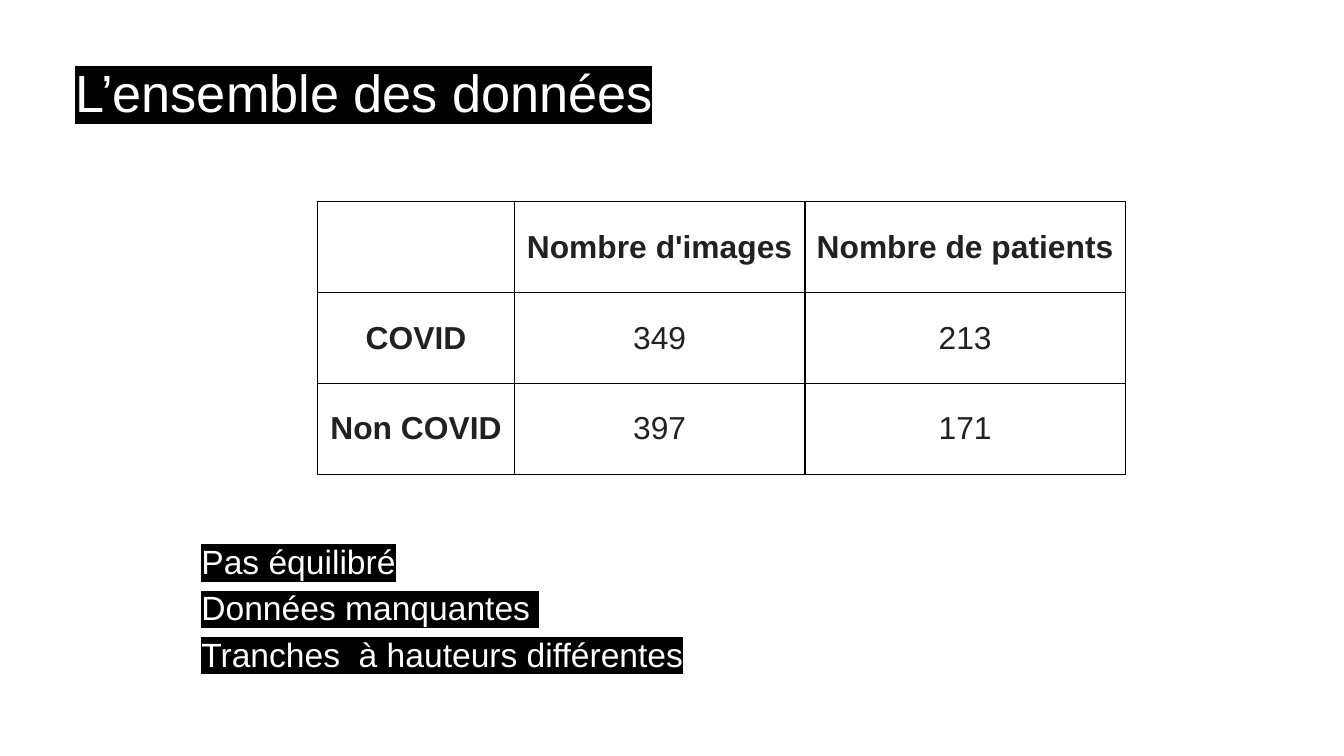
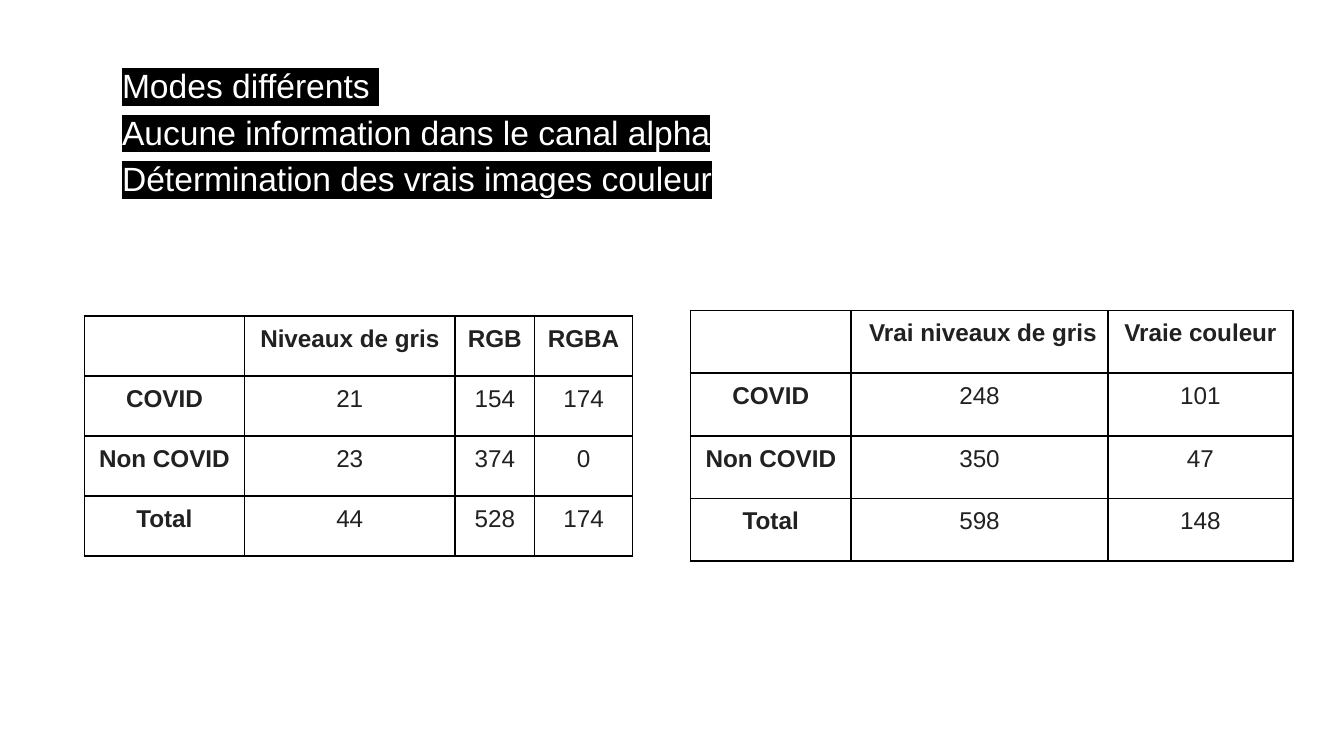
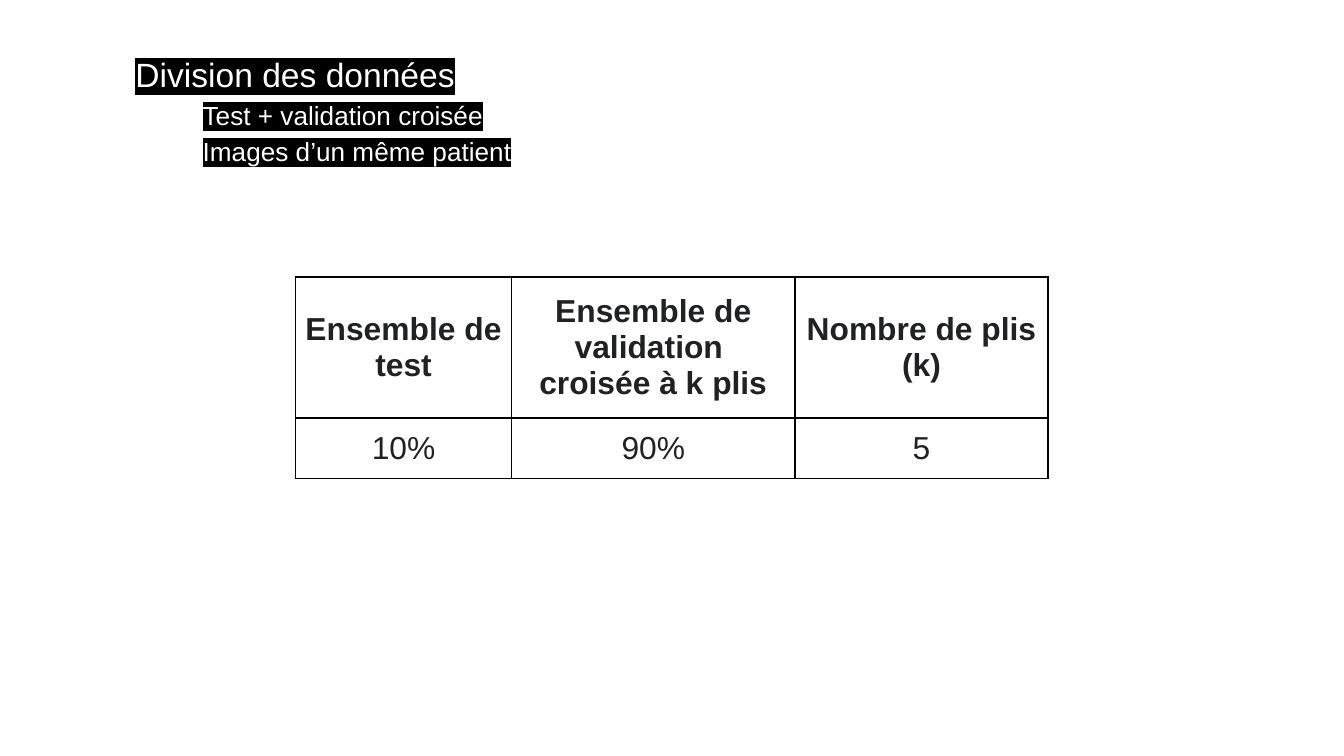
from dataclasses import dataclass

from lxml import etree
from pptx import Presentation
from pptx import util as u
from pptx.dml.color import RGBColor
from pptx.enum import text as t
from pptx.oxml import ns


@dataclass(frozen=True)
class Theme:
    font: str = "Arial"
    light: str = "FFFFFF"
    dark: str = "000000"
    cell: str = "202122"
    title: float = 28
    levels: tuple = (18, 14)
    border: float = 1
    inset: float = 7.2
    cell_inset: float = 5
    spacing: float = 1.15


TH = Theme()
BULLETS = (("●", 36, -27), ("○", 72, -25.2))
TITLE_BAND = 418

SLIDES = [
    {
        "title": ("L’ensemble des données", (33, 25.2, 671, 45.4)),
        "tables": [{
            "at": (170.1, 108), "cols": (105.6, 155.4, 171.9), "rows": (48.7,) * 3,
            "size": 17, "middle": True, "highlight": TH.light,
            "cells": [
                ("", "Nombre d'images", "Nombre de patients"),
                ("COVID", "349", "213"),
                ("Non COVID", "397", "171"),
            ],
        }],
        "body": ((64.8, 279.4, 404.6, 92.2), [
            (0, "Pas équilibré"),
            (0, "Données manquantes "),
            (0, "Tranches  à hauteurs différentes"),
        ]),
    },
    {
        "tables": [{
            "at": (45.2, 169.2), "cols": (85.7, 112.9, 42.6, 52.5), "rows": (32.2,) * 4,
            "size": 13, "middle": False, "highlight": TH.light,
            "cells": [
                ("", "Niveaux de gris", "RGB", "RGBA"),
                ("COVID", "21", "154", "174"),
                ("Non COVID", "23", "374", "0"),
                ("Total", "44", "528", "174"),
            ],
        }, {
            "at": (369.8, 166.3), "cols": (86.2, 137.5, 99.2), "rows": (33.6,) * 4,
            "size": 13, "middle": False, "highlight": TH.light,
            "cells": [
                ("", " Vrai niveaux de gris", "Vraie couleur"),
                ("COVID", "248", "101"),
                ("Non COVID", "350", "47"),
                ("Total", "598", "148"),
            ],
        }],
        "body": ((22.3, 24.5, 373, 94.3), [
            (0, "Modes différents "),
            (0, "Aucune information dans le canal alpha"),
            (0, "Détermination des vrais images couleur"),
        ]),
    },
    {
        "tables": [{
            "at": (158.4, 148.3), "cols": (115.6, 152, 135.4), "rows": (75.6, 32.4),
            "size": 17, "middle": True, "highlight": None,
            "cells": [
                ("Ensemble de test", "Ensemble de validation \ncroisée à k plis",
                 "Nombre de plis (k)"),
                ("10%", "90%", "5"),
            ],
        }],
        "body": ((29.5, 18.7, 293, 85), [
            (0, "Division des données"),
            (1, "Test + validation croisée"),
            (1, "Images d’un même patient"),
        ]),
    },
]


def sub(parent, tag, **attrs):
    return etree.SubElement(parent, ns.qn(tag), {k: str(v) for k, v in attrs.items()})


def write(p, text, *, size, color, bold=False, highlight=None, align=t.PP_ALIGN.LEFT):
    p.alignment = align
    r = p.add_run()
    r.text = text
    f = r.font
    f.name, f.size, f.bold = TH.font, u.Pt(size), bold
    f.color.rgb = RGBColor.from_string(color)
    if highlight:
        fill = r._r.rPr.find(ns.qn("a:solidFill"))
        hl = etree.Element(ns.qn("a:highlight"))
        sub(hl, "a:srgbClr", val=highlight)
        fill.addnext(hl)


def set_frame(tf):
    tf.word_wrap = True
    tf.auto_size = t.MSO_AUTO_SIZE.NONE
    tf.vertical_anchor = t.MSO_ANCHOR.TOP
    tf.margin_left = tf.margin_right = tf.margin_top = tf.margin_bottom = u.Pt(TH.inset)


def add_title(s, text, box):
    sp = s.shapes.title
    sp.left, sp.top, sp.width, sp.height = map(u.Pt, box)
    set_frame(sp.text_frame)
    p = sp.text_frame.paragraphs[0]
    tabs = sub(p._p.get_or_add_pPr(), "a:tabLst")
    sub(tabs, "a:tab", pos=u.Pt(TITLE_BAND), algn="l")
    write(p, text + "\t", size=TH.title, color=TH.light, highlight=TH.dark)


def add_body(s, box, items):
    tf = s.shapes.add_textbox(*map(u.Pt, box)).text_frame
    set_frame(tf)
    for i, (level, text) in enumerate(items):
        p = tf.add_paragraph() if i else tf.paragraphs[0]
        char, left, indent = BULLETS[level]
        p.level = level
        pPr = p._p.get_or_add_pPr()
        pPr.set("marL", str(u.Pt(left)))
        pPr.set("indent", str(u.Pt(indent)))
        sub(sub(pPr, "a:buClr"), "a:srgbClr", val=TH.light)
        sub(pPr, "a:buFont", typeface=TH.font)
        sub(pPr, "a:buChar", char=char)
        p.line_spacing = TH.spacing
        write(p, text, size=TH.levels[level], color=TH.light, highlight=TH.dark)


def set_borders(cell):
    tcPr = cell._tc.get_or_add_tcPr()
    for i, side in enumerate(("lnL", "lnR", "lnT", "lnB")):
        ln = etree.Element(ns.qn("a:" + side), w=str(u.Pt(TH.border)))
        sub(sub(ln, "a:solidFill"), "a:srgbClr", val=TH.dark)
        tcPr.insert(i, ln)


def add_table(s, data):
    cols, rows = data["cols"], data["rows"]
    box = (*data["at"], sum(cols), sum(rows))
    table = s.shapes.add_table(len(rows), len(cols), *map(u.Pt, box)).table
    table.first_row = table.horz_banding = False
    for col, width in zip(table.columns, cols):
        col.width = u.Pt(width)
    for row, height in zip(table.rows, rows):
        row.height = u.Pt(height)
    for i, line in enumerate(data["cells"]):
        for j, text in enumerate(line):
            cell = table.cell(i, j)
            cell.fill.background()
            set_borders(cell)
            cell.margin_left = cell.margin_right = u.Pt(TH.cell_inset)
            cell.margin_top = cell.margin_bottom = u.Pt(TH.cell_inset)
            cell.vertical_anchor = t.MSO_ANCHOR.MIDDLE if data["middle"] else t.MSO_ANCHOR.TOP
            if not text:
                continue
            tf = cell.text_frame
            for k, part in enumerate(text.split("\n")):
                p = tf.add_paragraph() if k else tf.paragraphs[0]
                write(p, part, size=data["size"], color=TH.cell,
                      bold=i == 0 or not line[j][0].isdigit(),
                      highlight=data["highlight"], align=t.PP_ALIGN.CENTER)


def main():
    prs = Presentation()
    prs.slide_width, prs.slide_height = u.Pt(720), u.Pt(405)
    title_only, blank = prs.slide_layouts[5], prs.slide_layouts[6]
    for content in SLIDES:
        s = prs.slides.add_slide(title_only if "title" in content else blank)
        if "title" in content:
            add_title(s, *content["title"])
        for data in content["tables"]:
            add_table(s, data)
        add_body(s, *content["body"])
    prs.save("out.pptx")


if __name__ == "__main__":
    main()
